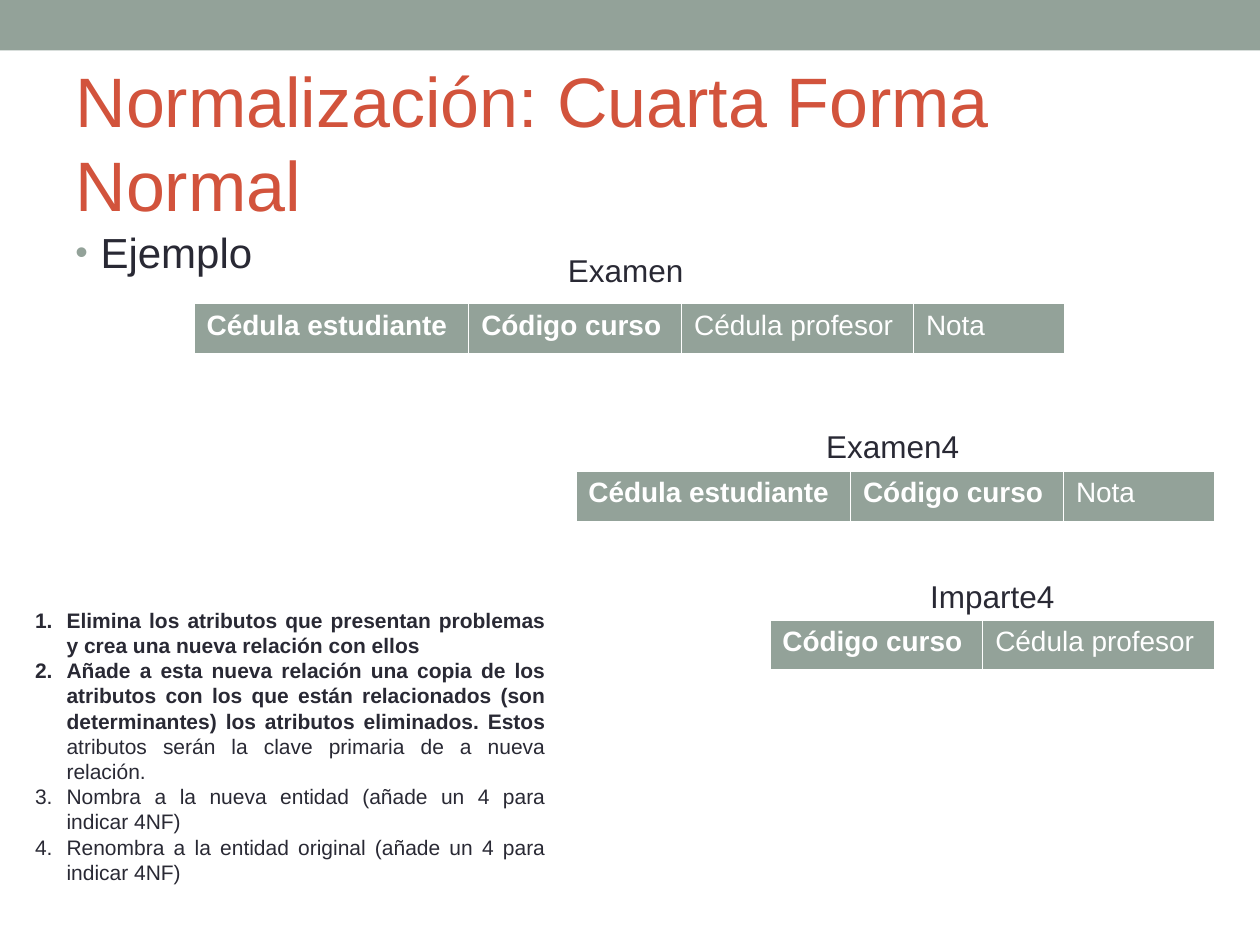
from lxml.etree import SubElement
from pptx import Presentation
from pptx.dml.color import RGBColor
from pptx.enum.shapes import MSO_SHAPE
from pptx.enum.text import MSO_ANCHOR, PP_ALIGN
from pptx.oxml.ns import qn
from pptx.util import Inches, Pt

COLS, ROWS = 100, 75
SAGE, RUST, INK, WHITE = "93A299", "D2533C", "292934", "FFFFFF"


def rgb(value):
    return RGBColor.from_string(value)


class Deck:
    """Holds the style and the current slide; lengths are grid columns and rows."""

    font = "Arial"

    def __init__(self):
        self.prs = Presentation()
        self.prs.slide_width, self.prs.slide_height = Inches(10), Inches(7.5)
        self.s = self.prs.slides.add_slide(self.prs.slide_layouts[5])

    def x(self, cols):
        return round(self.prs.slide_width * cols / COLS)

    def y(self, rows):
        return round(self.prs.slide_height * rows / ROWS)

    def box(self, left, top, width, height):
        return self.x(left), self.y(top), self.x(width), self.y(height)

    def run(self, p, text, size, color, bold=False):
        r = p.add_run()
        r.text = text
        r.font.name, r.font.size, r.font.bold = self.font, Pt(size), bold
        r.font.color.rgb = rgb(color)

    def bar(self, *place):
        sp = self.s.shapes.add_shape(MSO_SHAPE.RECTANGLE, *self.box(*place))
        sp.shadow.inherit = False
        sp.fill.solid()
        sp.fill.fore_color.rgb = rgb(SAGE)
        sp.line.fill.background()

    def title(self, text, *place):
        sp = self.s.shapes.title
        sp.left, sp.top, sp.width, sp.height = self.box(*place)
        tf = sp.text_frame
        tf.word_wrap, tf.vertical_anchor = True, MSO_ANCHOR.MIDDLE
        p = tf.paragraphs[0]
        p.alignment = PP_ALIGN.LEFT
        self.run(p, text, 40, RUST)

    def text(self, paragraphs, size, align, *place, bullet=None):
        """Each paragraph is a list of (text, bold) runs."""
        tf = self.s.shapes.add_textbox(*self.box(*place)).text_frame
        tf.word_wrap = True
        for i, runs in enumerate(paragraphs):
            p = tf.add_paragraph() if i else tf.paragraphs[0]
            p.alignment = align
            if bullet:
                self.bullet(p, **bullet)
            for text, bold in runs:
                self.run(p, text, size, INK, bold)

    def bullet(self, p, indent, color, scale=100, char=None):
        """Hanging bullet, or automatic number when no character is given."""
        pPr = p._p.get_or_add_pPr()
        pPr.set("marL", str(self.x(indent)))
        pPr.set("indent", str(-self.x(indent)))
        clr = SubElement(pPr, qn("a:buClr"))
        SubElement(clr, qn("a:srgbClr"), val=color)
        SubElement(pPr, qn("a:buSzPct"), val=str(scale * 1000))
        SubElement(pPr, qn("a:buFont"), typeface=self.font)
        if char:
            SubElement(pPr, qn("a:buChar"), char=char)
        else:
            SubElement(pPr, qn("a:buAutoNum"), type="arabicPeriod")

    def relation(self, fields, left, top):
        """One-row table of (name, width, is_key) fields."""
        width = sum(w for _, w, _ in fields)
        frame = self.s.shapes.add_table(1, len(fields), *self.box(left, top, width, 4.1))
        for i, (name, w, is_key) in enumerate(fields):
            frame.table.columns[i].width = self.x(w)
            cell = frame.table.cell(0, i)
            self.run(cell.text_frame.paragraphs[0], name, 16, WHITE, is_key)
            self.borders(cell)
            cell.fill.solid()
            cell.fill.fore_color.rgb = rgb(SAGE)

    def borders(self, cell):
        tcPr = cell._tc.get_or_add_tcPr()
        for side, width in (("L", 1), ("R", 1), ("T", 1), ("B", 3)):
            ln = SubElement(tcPr, qn(f"a:ln{side}"), w=str(Pt(width)))
            fill = SubElement(ln, qn("a:solidFill"))
            SubElement(fill, qn("a:srgbClr"), val=WHITE)


def main():
    d = Deck()

    # Header band, title and topic
    d.bar(0, 0, COLS, 4)
    d.title("Normalización: Cuarta Forma Normal", 5, 5.8, 90, 10.8)
    d.text([[("Ejemplo", False)]], 24, PP_ALIGN.JUSTIFY, 5, 17.5, 90, 53.3,
           bullet=dict(indent=2, color=SAGE, scale=85, char="•"))

    # Relations with their captions
    student = ("Cédula estudiante", 21.8, True)
    course = ("Código curso", 16.9, True)
    teacher = ("Cédula profesor", 18.4, False)
    grade = ("Nota", 12, False)
    for name, name_left, name_top, fields, left, top in (
        ("Examen", 34.3, 19.4, (student, course, teacher, grade), 15.4, 24.1),
        ("Examen4", 55.5, 33.4, (student, course, grade), 45.7, 37.4),
        ("Imparte4", 63.4, 45.3, (course, teacher), 61.1, 49.2),
    ):
        d.text([[(name, False)]], 18, PP_ALIGN.CENTER, name_left, name_top, 30.7, 4)
        d.relation(fields, left, top)

    # Numbered steps
    steps = [
        [("Elimina los atributos que presentan problemas y crea una nueva "
          "relación con ellos", True)],
        [("Añade a esta nueva relación una copia de los atributos con los que "
          "están relacionados (son determinantes) los atributos eliminados. "
          "Estos ", True),
         ("atributos serán la clave primaria de a nueva relación.", False)],
        [("Nombra a la nueva entidad (añade un 4 para indicar 4NF)", False)],
        [("Renombra a la entidad original (añade un 4 para indicar 4NF)", False)],
    ]
    d.text(steps, 12, PP_ALIGN.JUSTIFY, 1.8, 47.7, 42.5, 25.2,
           bullet=dict(indent=2.5, color=INK))

    d.prs.save("out.pptx")


if __name__ == "__main__":
    main()
